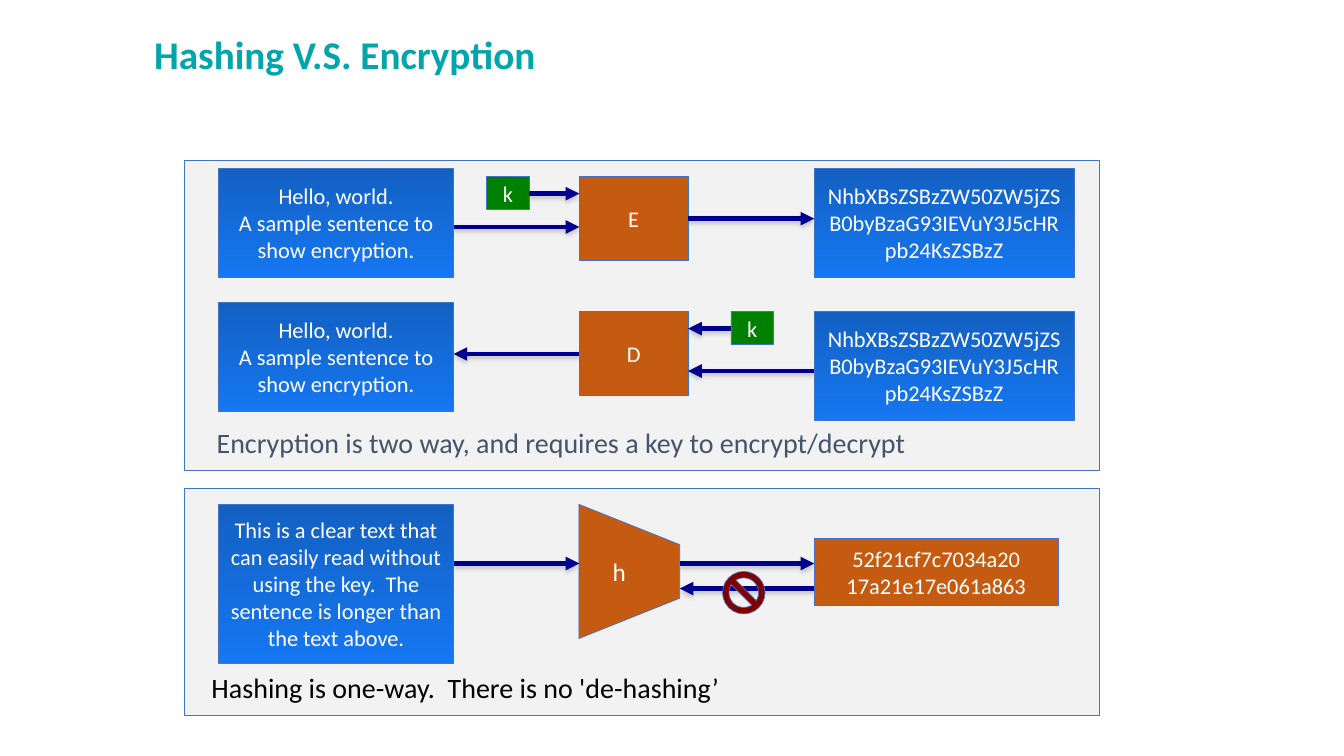
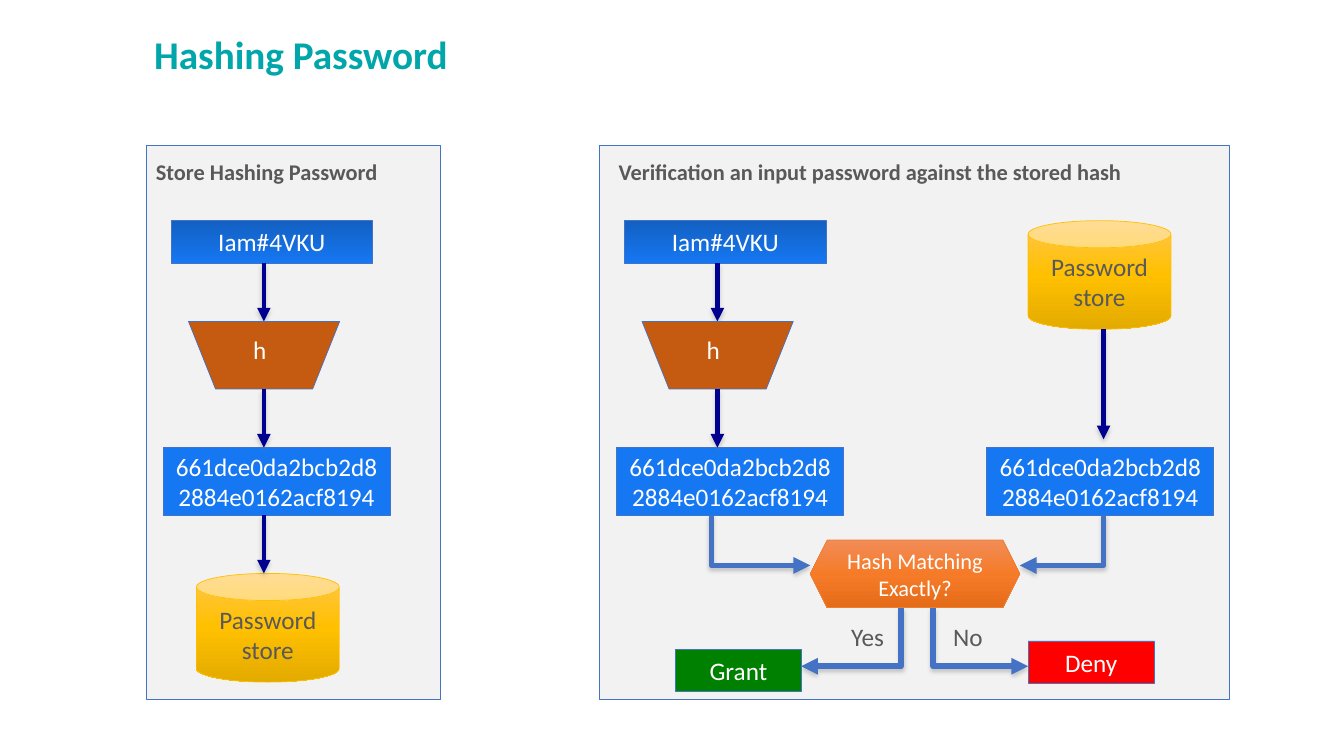
from lxml import etree
from pptx import Presentation
from pptx.dml.color import RGBColor
from pptx.enum import shapes, text
from pptx.oxml import ns
from pptx.util import Cm, Pt

TEAL = RGBColor(0x00, 0xA6, 0xAA)
PANEL_GREY = RGBColor(0xF2, 0xF2, 0xF2)
OUTLINE = RGBColor(0x44, 0x72, 0xC4)
NAVY = RGBColor(0x00, 0x00, 0x90)
BLUE = RGBColor(0x15, 0x77, 0xF2)
DEEP_BLUE = RGBColor(0x13, 0x60, 0xC2)
RUST = RGBColor(0xC5, 0x5A, 0x11)
GREEN = RGBColor(0x00, 0x80, 0x00)
RED = RGBColor(0xFF, 0x00, 0x00)
MAROON = RGBColor(0x80, 0x00, 0x00)
GOLD = RGBColor(0xFF, 0xC0, 0x00)
ORANGE = RGBColor(0xED, 0x7D, 0x31)
SLATE = RGBColor(0x44, 0x54, 0x6A)
GREY = RGBColor(0x59, 0x59, 0x59)
SHADOW = RGBColor(0x80, 0x80, 0x80)
WHITE = RGBColor(0xFF, 0xFF, 0xFF)
BLACK = RGBColor(0x00, 0x00, 0x00)

BLUE_FADE = (DEEP_BLUE, BLUE)
GOLD_FADE = (RGBColor(0xFF, 0xC6, 0x4B), GOLD, RGBColor(0xE3, 0xAB, 0x00))
ORANGE_FADE = (RGBColor(0xF1, 0x8C, 0x57), RGBColor(0xF6, 0x7B, 0x28),
               RGBColor(0xE5, 0x6C, 0x19))

Kind = shapes.MSO_SHAPE
CENTER, LEFT = text.PP_ALIGN.CENTER, text.PP_ALIGN.LEFT
TOP, MIDDLE = text.MSO_ANCHOR.TOP, text.MSO_ANCHOR.MIDDLE


def child(parent, tag, **attributes):
    values = {name: str(value) for name, value in attributes.items()}
    return etree.SubElement(parent, ns.qn(tag), values)


class Deck:
    """Shared style and the slide being drawn; lengths are in centimetres."""

    font = "Calibri"

    def __init__(self):
        self.prs = Presentation()
        self.prs.slide_width, self.prs.slide_height = Cm(33.87), Cm(19.05)
        self.slide = None

    def new_slide(self, title):
        self.slide = self.prs.slides.add_slide(self.prs.slide_layouts[5])
        heading = self.slide.shapes.title
        heading.left, heading.top = Cm(3.63), Cm(0.76)
        heading.width, heading.height = Cm(27.3), Cm(1.55)
        self.set_text(heading, title, 28, TEAL, LEFT, TOP, bold=True, spacing=0.9)

    def set_text(self, shape, words, size, color, align, anchor, bold=False, spacing=1.0):
        """Newlines part paragraphs; vertical tabs part lines within one."""
        frame = shape.text_frame
        frame.word_wrap = True
        frame.auto_size = text.MSO_AUTO_SIZE.NONE
        frame.vertical_anchor = anchor
        for number, content in enumerate(words.split("\n")):
            paragraph = frame.add_paragraph() if number else frame.paragraphs[0]
            paragraph.alignment, paragraph.line_spacing = align, spacing
            paragraph.space_before = Pt(0)
            for index, line in enumerate(content.split("\v")):
                if index:
                    paragraph.add_line_break()
                run = paragraph.add_run()
                run.text = line
                run.font.name, run.font.size = self.font, Pt(size)
                run.font.bold, run.font.color.rgb = bold, color

    def fade(self, shape, colors):
        """Fill from top to bottom with evenly spaced colours."""
        shape.fill.gradient()
        shape.fill.gradient_angle = 270
        stops = shape._element.spPr.find(ns.qn("a:gradFill")).find(ns.qn("a:gsLst"))
        for stop in list(stops):
            stops.remove(stop)
        for index, color in enumerate(colors):
            stop = child(stops, "a:gs", pos=100000 * index // (len(colors) - 1))
            child(stop, "a:srgbClr", val=color)

    def block(self, x, y, w, h, fill, words="", size=16, kind=Kind.RECTANGLE,
              outline=OUTLINE, color=WHITE, adjust=None, turn=0):
        shape = self.slide.shapes.add_shape(kind, Cm(x), Cm(y), Cm(w), Cm(h))
        shape.shadow.inherit = False
        if isinstance(fill, RGBColor):
            shape.fill.solid()
            shape.fill.fore_color.rgb = fill
        else:
            self.fade(shape, fill)
        shape.line.color.rgb, shape.line.width = outline, Pt(0.5)
        shape.rotation = turn
        if adjust is not None:
            shape.adjustments[0] = adjust
        if words:
            self.set_text(shape, words, size, color, CENTER, MIDDLE)
        return shape

    def funnel(self, x, y, w, h, turn, words=""):
        return self.block(x, y, w, h, RUST, words, 18, Kind.TRAPEZOID,
                          adjust=0.4, turn=turn)

    def store(self, x, y):
        self.block(x, y, 3.6, 2.74, GOLD_FADE, "Password store", 18, Kind.CAN,
                   outline=GOLD, color=GREY)

    def label(self, x, y, w, h, words, size, color, align=LEFT, **style):
        box = self.slide.shapes.add_textbox(Cm(x), Cm(y), Cm(w), Cm(h))
        self.set_text(box, words, size, color, align, TOP, **style)

    def arrow(self, x1, y1, x2, y2, bent=False):
        """A straight arrow, or one that runs down and then sideways."""
        kind = shapes.MSO_CONNECTOR.ELBOW if bent else shapes.MSO_CONNECTOR.STRAIGHT
        line = self.slide.shapes.add_connector(kind, Cm(x1), Cm(y1), Cm(x2), Cm(y2))
        line.line.color.rgb = OUTLINE if bent else NAVY
        line.line.width = Pt(4 if bent else 3.25)
        properties = line._element.spPr
        if bent:
            guides = properties.find(ns.qn("a:prstGeom")).find(ns.qn("a:avLst"))
            child(guides, "a:gd", name="adj1", fmla="val 0")
        child(properties.find(ns.qn("a:ln")), "a:tailEnd", type="triangle")
        shadow = child(child(properties, "a:effectLst"), "a:outerShdw",
                       blurRad=Pt(3), dist=Pt(2), dir=5400000, rotWithShape=0)
        child(child(shadow, "a:srgbClr", val=SHADOW), "a:alpha", val=40000)


def hashing_and_encryption(deck):
    deck.new_slide("Hashing V.S. Encryption")
    plain_x, engine_x, cipher_x = 5.51, 14.6, 20.52
    plain_w, engine_w = 5.92, 2.74
    plain_end, engine_end = plain_x + plain_w, engine_x + engine_w

    # Panels and captions
    for top, height in ((4.04, 7.82), (12.3, 5.72)):
        deck.block(4.65, top, 23.06, height, PANEL_GREY)
    deck.label(5.21, 10.59, 22, 1.22,
               "Encryption is two way, and requires a key to encrypt/decrypt", 20, SLATE)
    deck.label(5.08, 16.87, 22, 1.27,
               "Hashing is one-way.  There is no 'de-hashing’", 20, BLACK, spacing=0.9)

    # Encryption and decryption rows
    rows = (("E", 4.24, 4.45, 4.24, 12.27), ("D", 7.62, 7.85, 7.85, 18.42))
    for engine, plain_y, engine_y, cipher_y, key_x in rows:
        deck.block(plain_x, plain_y, plain_w, 2.74, BLUE_FADE,
                   "Hello, world.\nA sample sentence to show encryption.")
        deck.block(engine_x, engine_y, engine_w, 2.11, RUST, engine)
        deck.block(cipher_x, cipher_y, 6.55, 2.74, BLUE_FADE,
                   "NhbXBsZSBzZW50ZW5jZSB0byBzaG93IEVuY3J5cHRpb24KsZSBzZ")
        deck.block(key_x, engine_y, 1.07, 0.84, GREEN, "k")

    # Hashing row
    deck.funnel(14.17, 13.13, 3.38, 2.54, 90, "h").text_frame._txBody.bodyPr.set(
        "vert", "vert270")
    deck.block(cipher_x, 13.56, 6.15, 1.7, RUST, "52f21cf7c7034a20\v17a21e17e061a863")
    deck.block(plain_x, 12.7, plain_w, 4.01, BLUE_FADE,
               "This is a clear text that can easily read without using the key.  "
               "The sentence is longer than the text above.")

    # Flow arrows: start, end, height
    for start, end, y in (
            (plain_end, engine_x, 5.72), (engine_end, cipher_x, 5.51),
            (13.34, engine_x, 4.88), (engine_x, plain_end, 8.92),
            (cipher_x, engine_end, 9.35), (18.42, engine_end, 8.28),
            (plain_end, engine_x, 14.2), (17.13, cipher_x, 14.2),
            (cipher_x, 17.13, 14.83)):
        deck.arrow(start, y, end, y)
    deck.block(18.21, 14.4, 1.07, 1.07, MAROON, kind=Kind.NO_SYMBOL, adjust=0.15)


def hash_digest(deck, x):
    deck.block(x, 11.28, 5.72, 1.7, BLUE, "661dce0da2bcb2d8\v2884e0162acf8194", 18)


def hash_lane(deck, axis):
    """Password, hash function and digest along one vertical axis."""
    deck.block(axis - 2.34, 5.56, 5.08, 1.07, BLUE_FADE, "Iam#4VKU", 18)
    deck.funnel(axis - 1.9, 8.1, 3.81, 1.7, 180)
    deck.label(axis - 1.07, 8.31, 1.93, 1.02, "h", 18, WHITE, CENTER)
    hash_digest(deck, axis - 2.54)
    for top, bottom in ((6.63, 8.1), (9.8, 11.28)):
        deck.arrow(axis, top, axis, bottom)


def hashing_password(deck):
    deck.new_slide("Hashing Password")
    store_axis, verify_axis, saved_axis = 6.65, 18.08, 27.81

    # Panels with headings
    for x, width, heading_x, heading in (
            (3.68, 7.42, 3.68, "Store Hashing Password"),
            (15.11, 15.88, 15.34, "Verification an input password against the stored hash")):
        deck.block(x, 3.66, width, 13.97, PANEL_GREY)
        deck.label(heading_x, 3.86, width - 0.3, 0.94, heading, 16, GREY, bold=True)

    # Storing
    hash_lane(deck, store_axis)
    deck.store(4.95, 14.45)
    deck.arrow(store_axis, 12.98, store_axis, 14.45)

    # Verifying
    hash_lane(deck, verify_axis)
    deck.store(25.91, 5.56)
    deck.arrow(saved_axis, 8.3, saved_axis, 11.07)
    hash_digest(deck, 24.87)

    # Decision
    for x1, y1, x2, y2 in ((17.93, 12.98, 20.42, 14.25), (27.81, 12.98, 25.7, 14.25),
                           (22.71, 15.31, 20.19, 16.79), (23.52, 15.31, 25.91, 16.79)):
        deck.arrow(x1, y1, x2, y2, bent=True)
    deck.block(20.42, 13.61, 5.28, 1.7, ORANGE_FADE, "Hash Matching Exactly?",
               kind=Kind.HEXAGON, outline=ORANGE)
    for x, y, fill, outcome, answer_x, answer in (
            (17.02, 16.36, GREEN, "Grant", 21.2, "Yes"),
            (25.91, 16.15, RED, "Deny", 23.77, "No")):
        deck.block(x, y, 3.18, 1.07, fill, outcome, 18)
        deck.label(answer_x, 15.52, 1.5, 1.02, answer, 18, GREY)


def main():
    deck = Deck()
    hashing_and_encryption(deck)
    hashing_password(deck)
    deck.prs.save("out.pptx")


if __name__ == "__main__":
    main()
